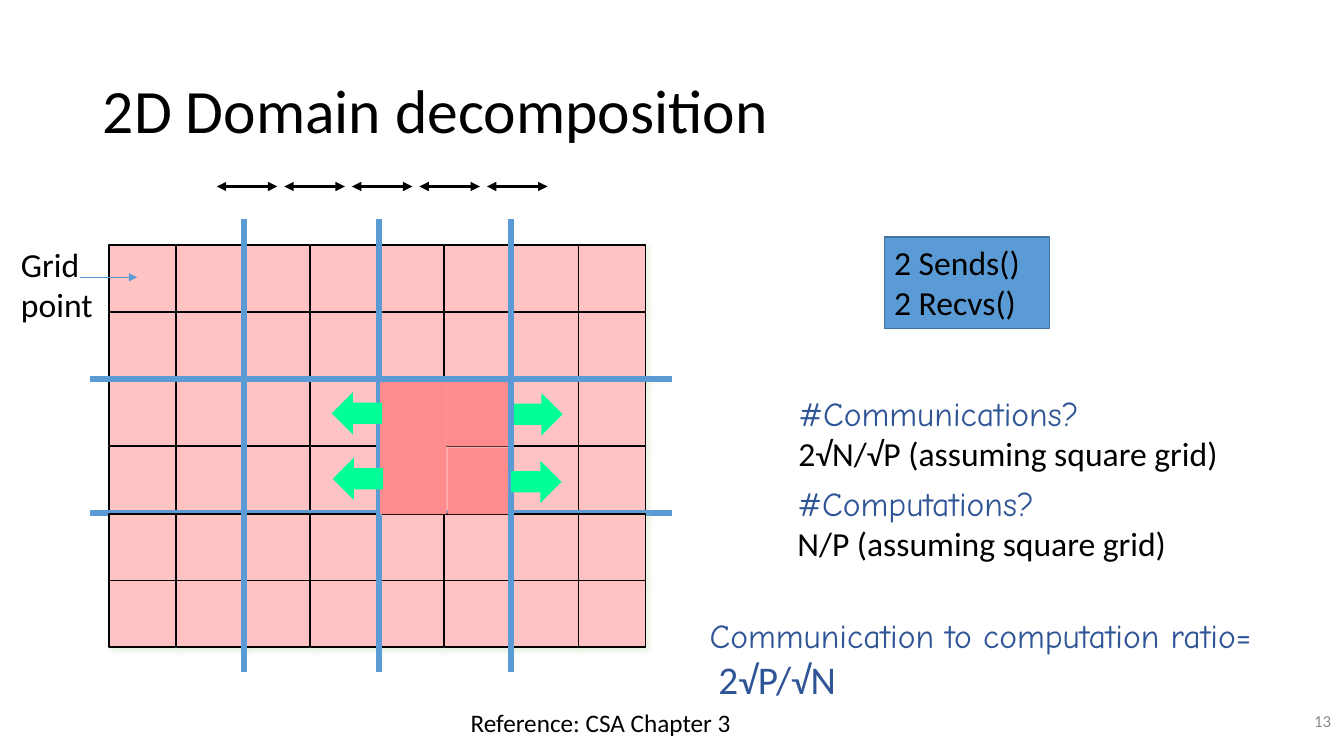
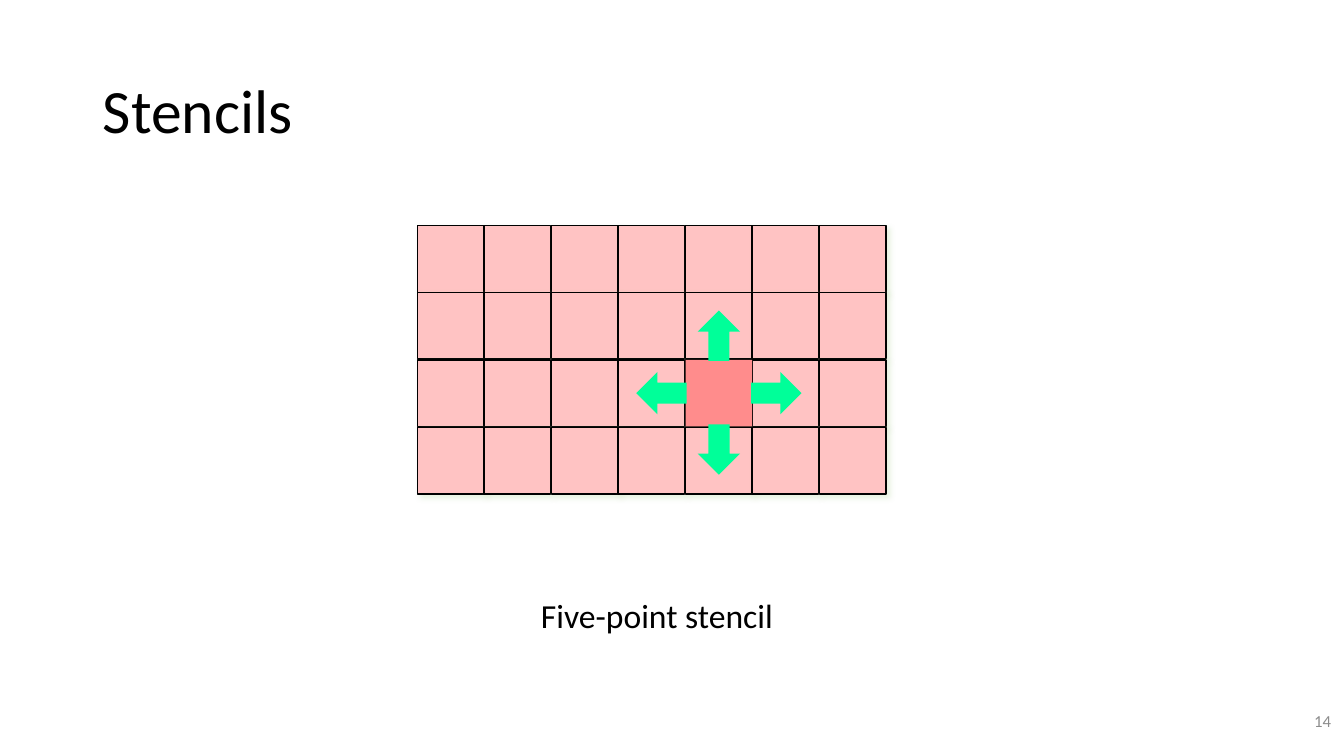
from dataclasses import dataclass

from lxml import etree
from pptx import Presentation, util as u
from pptx.dml.color import RGBColor
from pptx.enum import shapes, text
from pptx.oxml import ns
from pptx.shapes.autoshape import Shape
from pptx.shapes.connector import Connector
from pptx.shapes.shapetree import GroupShapes, SlideShapes
from pptx.slide import Slide
from pptx.text.text import TextFrame

EMU_PER_PX = 9144
SLIDE_W, SLIDE_H = 1333, 750
TITLE_ONLY = 5
FIRST_PAGE = 13

BODY_FONT, NOTE_FONT = "Calibri", "Comic Neue"
BLACK, NAVY, GREY = "000000", "2F5597", "8C8C8C"
BLUE, BLUE_EDGE = "5B9BD5", "43739E"
PINK, RED, GREEN, CELL_SHADOW = "FFC3C3", "FF8C8C", "00FF99", "C5E0B4"

CELL = 66
ARROW_W, ARROW_H = 50, 42


@dataclass(frozen=True)
class Box:
    left: int
    top: int
    width: int
    height: int


@dataclass(frozen=True)
class Grid:
    area: Box
    cols: int
    rows: int

    def cell(self, col: int, row: int) -> Box:
        return Box(self.area.left + round(col * self.area.width / self.cols),
                   self.area.top + round(row * self.area.height / self.rows),
                   CELL, CELL)


@dataclass(frozen=True)
class Line:
    words: str
    size: int = 24
    color: str = BLACK
    font: str = BODY_FONT


@dataclass(frozen=True)
class Note:
    box: Box
    lines: tuple[Line, ...]
    wrap: bool = False


@dataclass(frozen=True)
class Exchange:
    """A block arrow that shows data sent to a neighbour."""
    left: int
    top: int
    rotation: int = 0


DOMAIN = Grid(Box(108, 243, 533, 400), cols=8, rows=6)
STENCIL = Grid(Box(414, 224, 465, 266), cols=7, rows=4)

NOTES = (
    Note(Box(782, 385, 440, 91),
         (Line("#Communications?", color=NAVY, font=NOTE_FONT),
          Line("2√N/√P (assuming square grid)"))),
    Note(Box(781, 474, 389, 91),
         (Line("#Computations?", color=NAVY, font=NOTE_FONT),
          Line("N/P (assuming square grid)"))),
    Note(Box(694, 605, 598, 98),
         (Line("Communication to computation ratio=", color=NAVY, font=NOTE_FONT),
          Line(" 2√P/√N", 28, NAVY))),
    Note(Box(457, 697, 281, 40), (Line("Reference: CSA Chapter 3", 18),)),
)


def px(length: int) -> u.Emu:
    return u.Emu(length * EMU_PER_PX)


def rgb(color: str) -> RGBColor:
    return RGBColor.from_string(color)


def place(shape: Shape, box: Box) -> None:
    shape.left, shape.top = px(box.left), px(box.top)
    shape.width, shape.height = px(box.width), px(box.height)


def write(frame: TextFrame, lines: tuple[Line, ...],
          align: text.PP_ALIGN = text.PP_ALIGN.LEFT,
          spacing: float = 1.0) -> None:
    frame.text = "\n".join(line.words for line in lines)
    for paragraph, line in zip(frame.paragraphs, lines):
        paragraph.alignment = align
        paragraph.line_spacing = spacing
        for run in paragraph.runs:
            run.font.name = line.font
            run.font.size = u.Pt(line.size)
            run.font.color.rgb = rgb(line.color)


def add_note(slide: Slide, note: Note) -> None:
    label = slide.shapes.add_textbox(0, 0, 0, 0)
    place(label, note.box)
    write(label.text_frame, note.lines)
    label.text_frame.word_wrap = note.wrap
    label.text_frame.auto_size = text.MSO_AUTO_SIZE.SHAPE_TO_FIT_TEXT


def add_block(target: SlideShapes | GroupShapes, box: Box, fill: str,
              edge: str | None = None,
              kind: shapes.MSO_SHAPE = shapes.MSO_SHAPE.RECTANGLE) -> Shape:
    block = target.add_shape(kind, 0, 0, 0, 0)
    place(block, box)
    block.shadow.inherit = False
    block.fill.solid()
    block.fill.fore_color.rgb = rgb(fill)
    if edge:
        block.line.color.rgb = rgb(edge)
        block.line.width = u.Pt(1)
    else:
        block.line.fill.background()
    return block


def cast_shadow(block: Shape) -> None:
    effects = block._element.spPr.find(ns.qn("a:effectLst"))
    shadow = etree.SubElement(
        effects, ns.qn("a:outerShdw"), blurRad=str(u.Pt(4)), dist=str(u.Pt(3)),
        dir=str(45 * 60000), algn="tl", rotWithShape="0")
    color = etree.SubElement(shadow, ns.qn("a:srgbClr"), val=CELL_SHADOW)
    etree.SubElement(color, ns.qn("a:alpha"), val="40000")


def add_cells(target: SlideShapes | GroupShapes, grid: Grid, rows: range) -> None:
    for row in rows:
        for col in range(grid.cols):
            cast_shadow(add_block(target, grid.cell(col, row), PINK, BLACK))


def add_exchange(slide: Slide, exchange: Exchange) -> None:
    arrow = add_block(slide.shapes,
                      Box(exchange.left, exchange.top, ARROW_W, ARROW_H),
                      GREEN, kind=shapes.MSO_SHAPE.RIGHT_ARROW)
    arrow.rotation = exchange.rotation


def add_line(slide: Slide, start: tuple[int, int], end: tuple[int, int],
             color: str, points: float, ends: tuple[str, ...] = ()) -> Connector:
    """Draw a straight line; ends lists which of headEnd, tailEnd get arrowheads."""
    line = slide.shapes.add_connector(
        shapes.MSO_CONNECTOR.STRAIGHT, *map(px, start + end))
    line.line.color.rgb = rgb(color)
    line.line.width = u.Pt(points)
    outline = line.line._get_or_add_ln()
    for tag in ends:
        etree.SubElement(outline, ns.qn(f"a:{tag}"), type="triangle")
    etree.SubElement(line._element.spPr, ns.qn("a:effectLst"))
    return line


def add_slide(prs: Presentation, heading: str) -> Slide:
    slide = prs.slides.add_slide(prs.slide_layouts[TITLE_ONLY])
    title = slide.shapes.title
    place(title, Box(92, 40, 1150, 145))
    write(title.text_frame, (Line(heading, 44),), spacing=0.9)
    title.text_frame.vertical_anchor = text.MSO_ANCHOR.MIDDLE

    page = slide.shapes.add_textbox(0, 0, 0, 0)
    place(page, Box(1030, 695, 300, 40))
    number = FIRST_PAGE + len(prs.slides) - 1
    write(page.text_frame, (Line(str(number), 12, GREY),), text.PP_ALIGN.RIGHT)
    page.text_frame.word_wrap = True
    page.text_frame.vertical_anchor = text.MSO_ANCHOR.MIDDLE
    return slide


def build_decomposition(prs: Presentation) -> None:
    slide = add_slide(prs, "2D Domain decomposition")
    add_cells(slide.shapes, DOMAIN, range(4))
    add_line(slide, (79, 275), (136, 275), BLUE, 0.5, ("tailEnd",))
    add_note(slide, Note(Box(11, 237, 121, 91), (Line("Grid point"),), wrap=True))

    # The lower rows overlap the second horizontal boundary.
    add_block(slide.shapes, Box(443, 377, CELL, CELL), RED)
    add_exchange(slide, Exchange(508, 390))
    for y in (376, 509):
        add_line(slide, (89, y), (667, y), BLUE, 4.5)
    add_cells(slide.shapes, DOMAIN, range(4, DOMAIN.rows))

    # The owned block lies over the left boundary and under the right one.
    for x in (242, 376):
        add_line(slide, (x, 217), (x, 667), BLUE, 4.5)
    for left, top in ((377, 444), (444, 444), (377, 379)):
        add_block(slide.shapes, Box(left, top, CELL, CELL), RED)
    add_line(slide, (507, 217), (507, 667), BLUE, 4.5)
    for exchange in (Exchange(330, 454, 180), Exchange(507, 457),
                     Exchange(329, 389, 180)):
        add_exchange(slide, exchange)

    for step in range(5):
        left = 215 + 67 * step
        add_line(slide, (left, 185), (left + 60, 185), BLACK, 2.25,
                 ("headEnd", "tailEnd"))

    calls = add_block(slide.shapes, Box(877, 235, 164, 91), BLUE, BLUE_EDGE)
    write(calls.text_frame, (Line("2 Sends()"), Line("2 Recvs()")))
    calls.text_frame.vertical_anchor = text.MSO_ANCHOR.TOP
    for note in NOTES:
        add_note(slide, note)


def build_stencils(prs: Presentation) -> None:
    slide = add_slide(prs, "Stencils")
    caption = slide.shapes.add_textbox(0, 0, 0, 0)
    place(caption, Box(334, 590, 635, 85))
    write(caption.text_frame, (Line("Five-point stencil"),),
          text.PP_ALIGN.CENTER, 0.9)
    caption.text_frame.word_wrap = True

    add_cells(slide.shapes.add_group_shape().shapes, STENCIL, range(STENCIL.rows))
    add_block(slide.shapes, Box(680, 357, CELL, CELL), RED)
    for exchange in (Exchange(745, 369), Exchange(631, 369, 180),
                     Exchange(688, 425, 90), Exchange(688, 312, 270)):
        add_exchange(slide, exchange)


def main() -> None:
    prs = Presentation()
    prs.slide_width, prs.slide_height = px(SLIDE_W), px(SLIDE_H)
    build_decomposition(prs)
    build_stencils(prs)
    prs.save("out.pptx")


if __name__ == "__main__":
    main()
